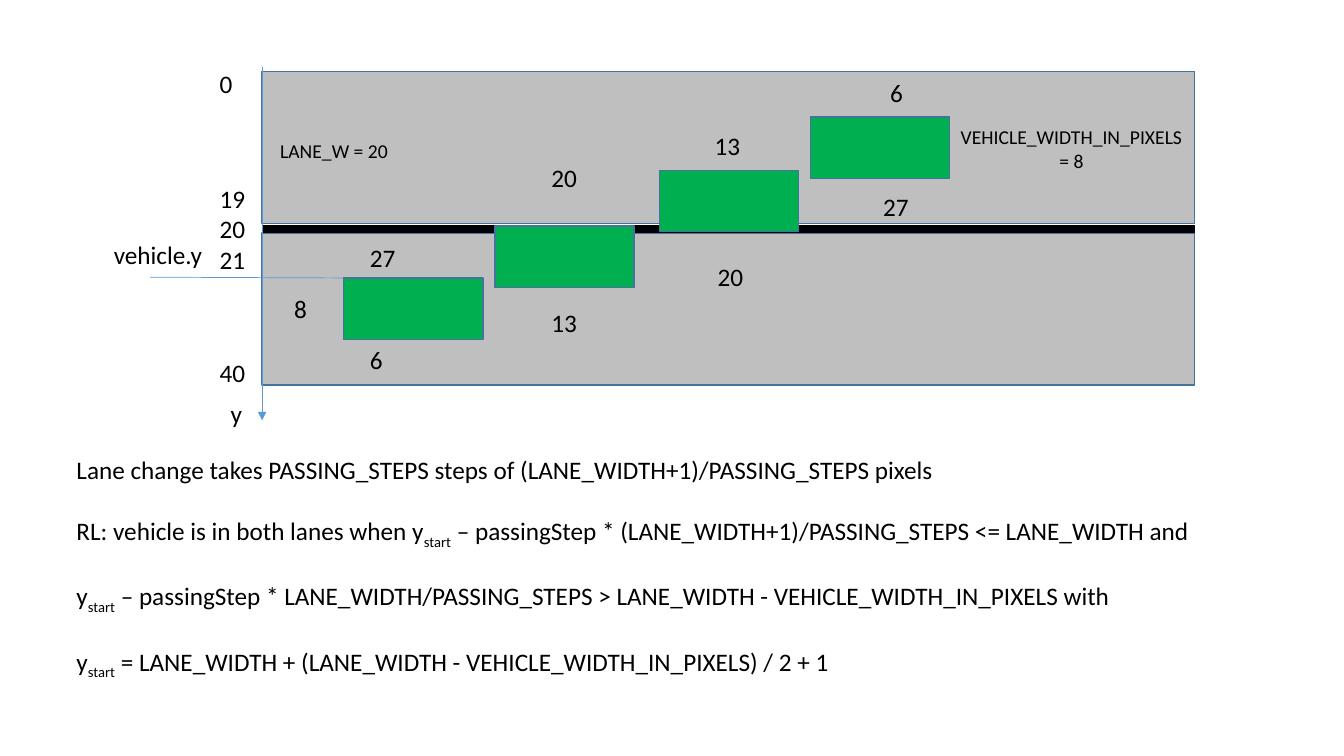
from lxml import etree
from pptx import Presentation
from pptx.dml.color import RGBColor
from pptx.enum.shapes import MSO_CONNECTOR, MSO_SHAPE
from pptx.enum.text import MSO_AUTO_SIZE, PP_ALIGN
from pptx.oxml.ns import qn
from pptx.util import Inches, Pt

RECTANGLE = MSO_SHAPE.RECTANGLE
STRAIGHT = MSO_CONNECTOR.STRAIGHT
LEFT, CENTER = PP_ALIGN.LEFT, PP_ALIGN.CENTER
FIT_SHAPE, FIT_NONE = MSO_AUTO_SIZE.SHAPE_TO_FIT_TEXT, MSO_AUTO_SIZE.NONE

BLACK = RGBColor(0x00, 0x00, 0x00)
LANE_GRAY = RGBColor(0xBF, 0xBF, 0xBF)
VEHICLE_GREEN = RGBColor(0x00, 0xB0, 0x50)
OUTLINE_BLUE = RGBColor(0x43, 0x73, 0x9E)
AXIS_BLUE = RGBColor(0x5B, 0x9B, 0xD5)

LANE_LEFT, LANE_TOP, LANE_WIDTH, LANE_HEIGHT = 2.6, 0.71, 9.25, 1.51
LANE_PITCH = 1.6
LANE_RIGHT = LANE_LEFT + LANE_WIDTH
DIVIDER_Y = 2.27
VEHICLE_SIZE = (1.38, 0.61)
VEHICLES = [(3.41, 2.76), (4.91, 2.24), (6.54, 1.69), (8.04, 1.16)]
LABEL_HEIGHT = 0.4
LABELS = [
    ("0", 2.08, 0.63, 0.33),
    ("40", 2.08, 3.5, 0.46),
    ("y", 2.19, 3.9, 0.32),
    ("vehicle.y", 1.03, 2.33, 1.11),
    ("8", 2.82, 2.86, 0.33),
    ("27", 3.57, 2.35, 0.46),
    ("6", 3.57, 3.37, 0.33),
    ("20", 5.37, 1.56, 0.46),
    ("13", 5.37, 3, 0.46),
    ("13", 6.99, 1.24, 0.46),
    ("20", 7.02, 2.54, 0.46),
    ("6", 8.73, 0.72, 0.33),
    ("27", 8.66, 1.85, 0.46),
]
SUBSCRIPT_MARK = "|"
FORMULAS = [
    "Lane change takes PASSING_STEPS steps of (LANE_WIDTH+1)/PASSING_STEPS pixels",
    "RL: vehicle is in both lanes when y|start| – passingStep * "
    "(LANE_WIDTH+1)/PASSING_STEPS <= LANE_WIDTH and",
    "y|start| – passingStep * LANE_WIDTH/PASSING_STEPS > "
    "LANE_WIDTH - VEHICLE_WIDTH_IN_PIXELS with",
    "y|start| = LANE_WIDTH + (LANE_WIDTH - VEHICLE_WIDTH_IN_PIXELS) / 2 + 1",
]


class SlideBuilder:
    """Draws styled elements on the current slide."""

    def __init__(self, slide):
        self.slide = slide
        self.font = {"name": "Calibri", "size": Pt(18)}

    def rectangle(self, left, top, width, height, fill):
        shape = self.slide.shapes.add_shape(
            RECTANGLE, Inches(left), Inches(top), Inches(width), Inches(height))
        shape.shadow.inherit = False
        shape.fill.solid()
        shape.fill.fore_color.rgb = fill
        shape.line.color.rgb = OUTLINE_BLUE
        shape.line.width = Pt(1)

    def line(self, start, end, color, width, arrow=False):
        connector = self.slide.shapes.add_connector(
            STRAIGHT, *(Inches(value) for value in (*start, *end)))
        connector.line.color.rgb = color
        connector.line.width = Pt(width)
        if arrow:
            outline = connector.line._get_or_add_ln()
            etree.SubElement(outline, qn("a:tailEnd"), type="triangle")
        etree.SubElement(connector._element.spPr, qn("a:effectLst"))

    def text(self, lines, left, top, width, height=LABEL_HEIGHT,
             alignments=(), gap=0, fit=FIT_SHAPE, **font):
        box = self.slide.shapes.add_textbox(
            Inches(left), Inches(top), Inches(width), Inches(height))
        frame = box.text_frame
        frame.word_wrap = False
        frame.auto_size = fit
        for index, line in enumerate(lines):
            paragraph = frame.add_paragraph() if index else frame.paragraphs[0]
            paragraph.alignment = alignments[index] if alignments else LEFT
            paragraph.space_before = Pt(gap if index else 0)
            for position, part in enumerate(line.split(SUBSCRIPT_MARK)):
                self.run(paragraph, part, position % 2 == 1, font)

    def run(self, paragraph, text, subscript, font):
        run = paragraph.add_run()
        run.text = text
        for name, value in {**self.font, **font}.items():
            setattr(run.font, name, value)
        run.font.color.rgb = BLACK
        if subscript:
            run._r.get_or_add_rPr().set("baseline", "-25000")


presentation = Presentation()
presentation.slide_width = Inches(13.33)
presentation.slide_height = Inches(7.5)
builder = SlideBuilder(presentation.slides.add_slide(presentation.slide_layouts[6]))

for lane in (1, 0):
    builder.rectangle(LANE_LEFT, LANE_TOP + lane * LANE_PITCH,
                      LANE_WIDTH, LANE_HEIGHT, LANE_GRAY)
builder.line((LANE_LEFT, DIVIDER_Y), (LANE_RIGHT, DIVIDER_Y), BLACK, 6)
builder.line((LANE_LEFT, 0.66), (LANE_LEFT, 4.17), AXIS_BLUE, 0.5, arrow=True)
builder.line((4.1, 2.76), (1.49, 2.75), AXIS_BLUE, 0.5)
for left, top in VEHICLES:
    builder.rectangle(left, top, *VEHICLE_SIZE, VEHICLE_GREEN)

for label, left, top, width in LABELS:
    builder.text([label], left, top, width)
builder.text(["19", "20", "21"], 2.08, 1.77, 0.46, 1.01)
builder.text(["LANE_W = 20"], 2.68, 1.33, 1.28, 0.34, size=Pt(14))
builder.text(["VEHICLE_WIDTH_IN_PIXELS", "= 8"], 9.43, 1.19, 2.42, 0.57,
             alignments=(LEFT, CENTER), size=Pt(14))
builder.text(FORMULAS, 0.66, 4.46, 11.75, 2.92, gap=22, fit=FIT_NONE)

presentation.save("out.pptx")
